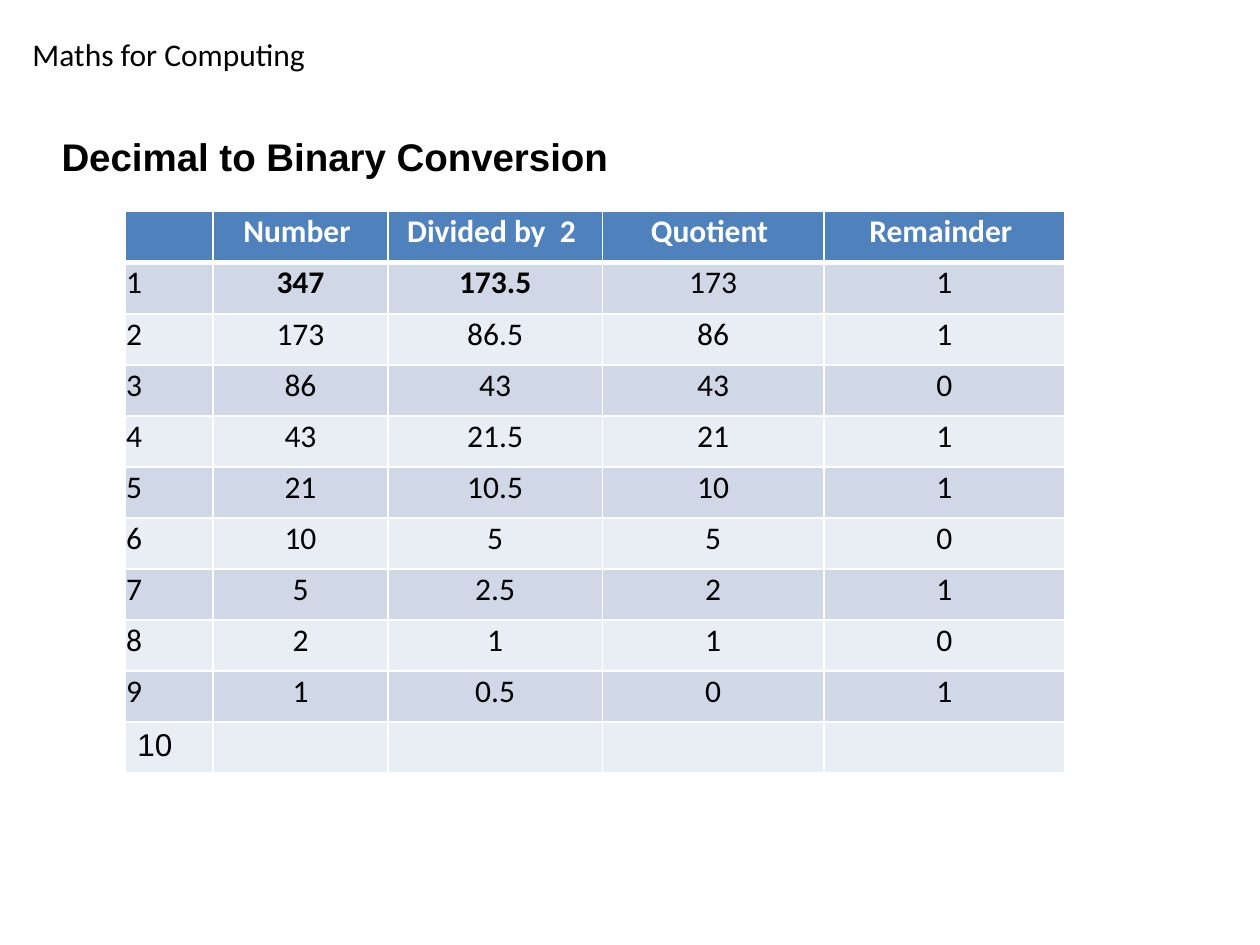
from dataclasses import dataclass

from lxml import etree
from pptx import Presentation
from pptx.dml.color import RGBColor
from pptx.enum.text import MSO_ANCHOR, PP_ALIGN
from pptx.oxml.ns import qn
from pptx.util import Inches, Pt

MIDDLE, TOP = MSO_ANCHOR.MIDDLE, MSO_ANCHOR.TOP
LEFT, CENTER = PP_ALIGN.LEFT, PP_ALIGN.CENTER

SLIDE_WIDTH, SLIDE_HEIGHT = 10, 7.5
BLACK, WHITE = "000000", "FFFFFF"
HEADER_FILL = "4F81BD"
BAND_FILLS = ("D0D8E8", "E9EDF4")
TABLE_LEFT, TABLE_TOP, TABLE_HEIGHT = 0.99, 1.68, 4.46
COLUMN_WIDTHS = (0.7, 1.39, 1.7, 1.76, 1.91)
HEADERS = ("", "Number ", "Divided by  2 ", "Quotient ", "Remainder ")
START_NUMBER = 347


@dataclass
class TextStyle:
    size: float = 18
    font: str = "Calibri"
    color: str = BLACK
    bold: bool = False


@dataclass
class Label:
    text: str
    left: float  # position and size are shares of the slide
    top: float
    width: float
    height: float
    style: TextStyle
    anchor: MSO_ANCHOR


LABELS = (
    Label("Maths for Computing", 0.016, 0.03, 0.69, 0.05, TextStyle(), TOP),
    Label("Decimal to Binary Conversion", 0.039, 0.136, 0.81, 0.058,
          TextStyle(22, "Arial", bold=True), MIDDLE),
)


def rgb(color: str) -> RGBColor:
    return RGBColor.from_string(color)


def write(text_frame, text: str, style: TextStyle, alignment=LEFT) -> None:
    text_frame.text = text
    paragraph = text_frame.paragraphs[0]
    paragraph.alignment = alignment
    for run in paragraph.runs:
        run.font.size = Pt(style.size)
        run.font.name = style.font
        run.font.bold = style.bold
        run.font.color.rgb = rgb(style.color)


def add_label(slide, label: Label) -> None:
    shape = slide.shapes.add_textbox(
        Inches(label.left * SLIDE_WIDTH), Inches(label.top * SLIDE_HEIGHT),
        Inches(label.width * SLIDE_WIDTH), Inches(label.height * SLIDE_HEIGHT))
    shape.text_frame.word_wrap = True
    shape.text_frame.vertical_anchor = label.anchor
    write(shape.text_frame, label.text, label.style)


def add_borders(cell, top: float = 1, bottom: float = 1) -> None:
    properties = cell._tc.get_or_add_tcPr()
    for side, width in (("L", 1), ("R", 1), ("T", top), ("B", bottom)):
        line = etree.SubElement(properties, qn(f"a:ln{side}"), w=str(Pt(width)))
        fill = etree.SubElement(line, qn("a:solidFill"))
        etree.SubElement(fill, qn("a:srgbClr"), val=WHITE)


def conversion_rows(number: int) -> list[tuple[str, ...]]:
    """Halve the number until the quotient is zero, one row per step."""
    rows = []
    while number:
        quotient, remainder = divmod(number, 2)
        rows.append((str(len(rows) + 1), str(number), f"{number / 2:g}",
                     str(quotient), str(remainder)))
        number = quotient
    return rows


def add_conversion_table(slide) -> None:
    steps = conversion_rows(START_NUMBER)
    spare_row = (str(len(steps) + 1), "", "", "", "")
    rows = [HEADERS, *steps, spare_row]
    table = slide.shapes.add_table(
        len(rows), len(HEADERS), Inches(TABLE_LEFT), Inches(TABLE_TOP),
        Inches(sum(COLUMN_WIDTHS)), Inches(TABLE_HEIGHT)).table
    for column, width in zip(table.columns, COLUMN_WIDTHS):
        column.width = Inches(width)

    for row_index, values in enumerate(rows):
        is_header, is_spare = row_index == 0, values is spare_row
        for column_index, value in enumerate(values):
            cell = table.cell(row_index, column_index)
            add_borders(cell, top=3 if row_index == 1 else 1,
                        bottom=3 if is_header else 1)
            cell.fill.solid()
            cell.fill.fore_color.rgb = rgb(
                HEADER_FILL if is_header else BAND_FILLS[(row_index - 1) % 2])
            if value and not is_spare:
                cell.margin_left = cell.margin_right = cell.margin_top = Inches(0.01)
                cell.margin_bottom = 0
            # The starting number and its half stand out in bold
            is_start = row_index == 1 and column_index in (1, 2)
            style = TextStyle(font="Arial" if is_spare else "Calibri",
                              color=WHITE if is_header else BLACK,
                              bold=is_header or is_start)
            write(cell.text_frame, value, style, CENTER if column_index else LEFT)


def main() -> None:
    presentation = Presentation()
    presentation.slide_width = Inches(SLIDE_WIDTH)
    presentation.slide_height = Inches(SLIDE_HEIGHT)
    slide = presentation.slides.add_slide(presentation.slide_layouts[6])

    # Course name and slide heading
    for label in LABELS:
        add_label(slide, label)

    # Repeated division by two
    add_conversion_table(slide)
    presentation.save("out.pptx")


if __name__ == "__main__":
    main()
